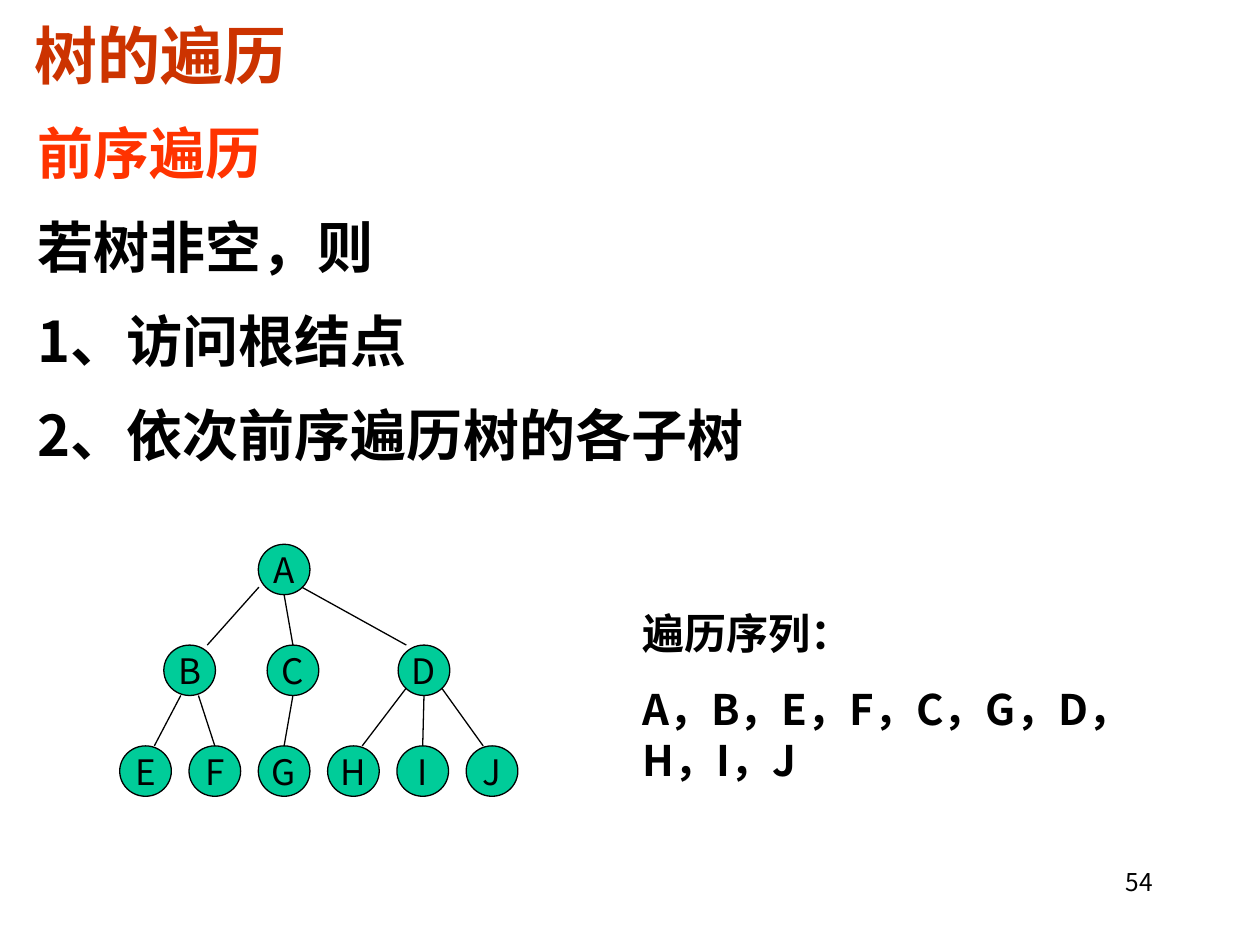
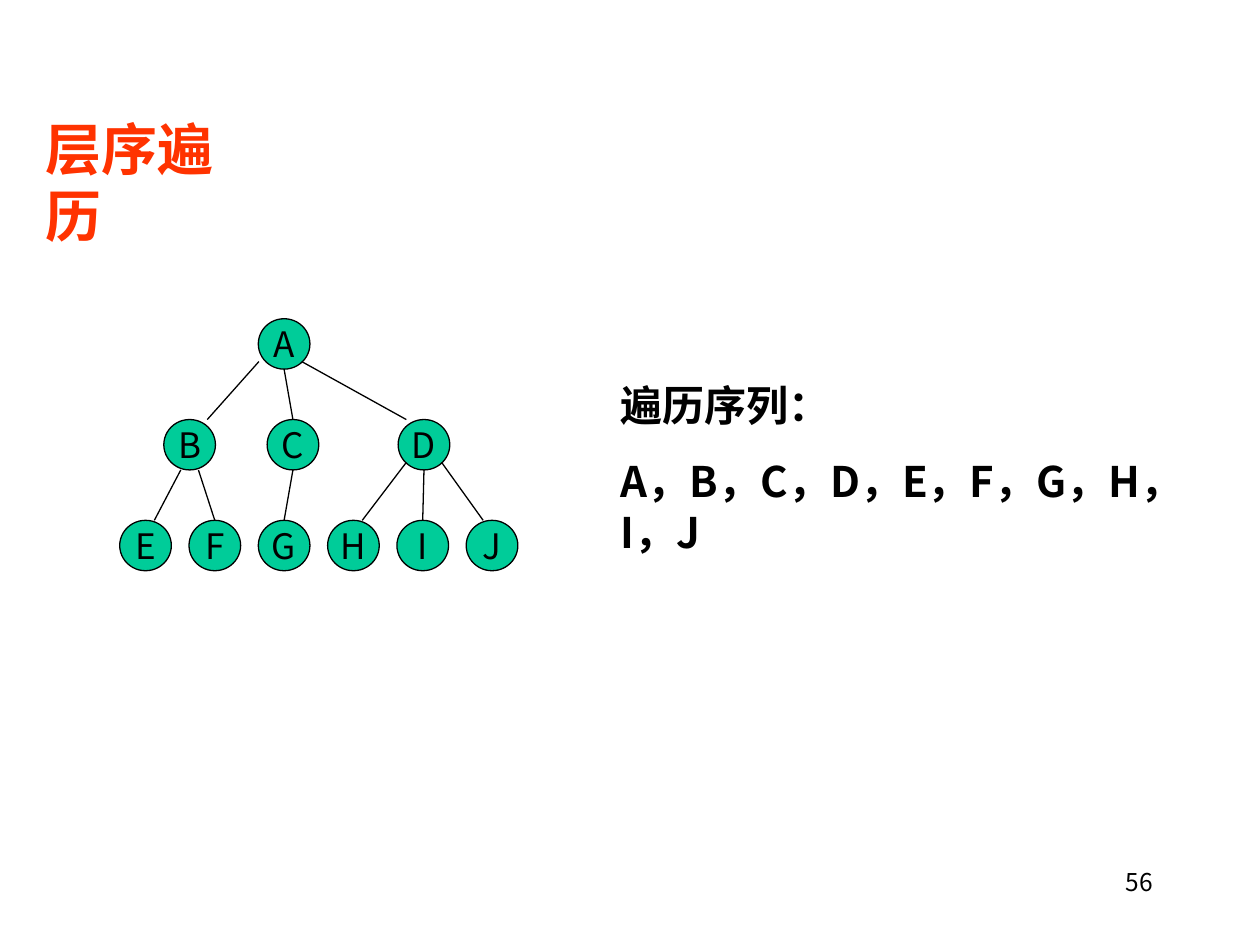
import lxml.etree
import pptx
import pptx.dml.color
import pptx.enum.shapes
import pptx.enum.text
import pptx.oxml.ns
import pptx.util

Inches = pptx.util.Inches
Pt = pptx.util.Pt
ALIGN = pptx.enum.text.PP_ALIGN
ANCHOR = pptx.enum.text.MSO_ANCHOR

TITLE_RED = "CC3300"
HEADING_RED = "FF3300"
BLACK = "000000"
NODE_GREEN = "00CC99"
CJK = "Noto Sans CJK JP"

NODE_WIDTH, NODE_HEIGHT = 0.41, 0.4
LEVEL_STEP = 0.8
LEAF_LEFT, LEAF_STEP = 0.95, 0.55
NODES = {"A": (2.05, 0), "B": (1.3, 1), "C": (2.12, 1), "D": (3.16, 1)}
NODES.update({leaf: (LEAF_LEFT + i * LEAF_STEP, 2) for i, leaf in enumerate("EFGHIJ")})

EDGES = [
    ("A", "B", -0.2, 0.34, 0.14),
    ("B", "E", -0.07, 0.4, 0.07),
    ("B", "F", 0.07, 0.4, 0),
    ("C", "G", 0, 0.4, 0),
    ("D", "H", -0.14, 0.34, 0.07),
    ("D", "I", 0, 0.4, 0),
    ("D", "J", 0.14, 0.34, -0.07),
    ("A", "C", 0, 0.4, 0),
    ("A", "D", 0.14, 0.34, -0.14),
]


def rgb(code):
    return pptx.dml.color.RGBColor.from_string(code)


def child(parent, tag):
    return lxml.etree.SubElement(parent, pptx.oxml.ns.qn(tag))


class Deck:
    def __init__(self):
        self.prs = pptx.Presentation()
        self.prs.slide_width = Inches(10)
        self.prs.slide_height = Inches(7.5)
        self.slide = None

    def new_slide(self, layout):
        self.slide = self.prs.slides.add_slide(self.prs.slide_layouts[layout])

    def place(self, shape, left, top, width, height):
        shape.left, shape.top = Inches(left), Inches(top)
        shape.width, shape.height = Inches(width), Inches(height)

    def set_lines(self, shape, lines, size, colors=(BLACK,), font=CJK, bold=False,
                  align=ALIGN.LEFT, anchor=ANCHOR.TOP, wrap=True, before=0, spacing=1.0):
        frame = shape.text_frame
        frame.auto_size = pptx.enum.text.MSO_AUTO_SIZE.NONE
        frame.word_wrap = wrap
        frame.vertical_anchor = anchor
        for i, line in enumerate(lines):
            paragraph = frame.add_paragraph() if i else frame.paragraphs[0]
            paragraph.alignment = align
            paragraph.space_before = Pt(before)
            paragraph.line_spacing = spacing
            run = paragraph.add_run()
            run.text = line
            run.font.size = Pt(size)
            run.font.bold = bold
            run.font.color.rgb = rgb(colors[min(i, len(colors) - 1)])
            run.font.name = font
            child(run._r.get_or_add_rPr(), "a:ea").set("typeface", CJK)

    def title(self, text, box, size, color, **style):
        heading = self.slide.shapes.title
        self.place(heading, *box)
        self.set_lines(heading, [text], size, [color], bold=True, **style)

    def steps(self, lines, box):
        body = self.slide.placeholders[1]
        self.place(body, *box)
        self.set_lines(body, lines, 32, [HEADING_RED, BLACK], bold=True, wrap=False, spacing=1.4)
        for paragraph in body.text_frame.paragraphs:
            properties = paragraph._p.get_or_add_pPr()
            properties.set("marL", "0")
            properties.set("indent", "0")
            child(properties, "a:buNone")

    def text(self, lines, box, size, **style):
        note = self.slide.shapes.add_textbox(*[Inches(length) for length in box])
        self.set_lines(note, lines, size, **style)

    def node(self, group, letter, left, top):
        circle = group.shapes.add_shape(
            pptx.enum.shapes.MSO_SHAPE.OVAL,
            Inches(left), Inches(top), Inches(NODE_WIDTH), Inches(NODE_HEIGHT))
        circle.shadow.inherit = False
        circle.fill.solid()
        circle.fill.fore_color.rgb = rgb(NODE_GREEN)
        circle.line.color.rgb = rgb(BLACK)
        circle.line.width = Pt(0.75)
        self.set_lines(circle, [letter], 20, align=ALIGN.CENTER, anchor=ANCHOR.MIDDLE, wrap=False)
        return circle

    def edge(self, group, start, end):
        branch = group.shapes.add_connector(
            pptx.enum.shapes.MSO_CONNECTOR.STRAIGHT,
            *[Inches(length) for length in start + end])
        branch.line.color.rgb = rgb(BLACK)
        branch.line.width = Pt(0.75)
        child(branch._element.spPr, "a:effectLst")
        return branch

    def tree(self, top):
        group = self.slide.shapes.add_group_shape()
        spots = {letter: (left, top + level * LEVEL_STEP)
                 for letter, (left, level) in NODES.items()}
        circles = {letter: self.node(group, letter, *spot) for letter, spot in spots.items()}
        middle = NODE_WIDTH / 2
        for parent, kid, start_shift, drop, end_shift in EDGES:
            parent_left, parent_top = spots[parent]
            kid_left, kid_top = spots[kid]
            branch = self.edge(group,
                               (parent_left + middle + start_shift, parent_top + drop),
                               (kid_left + middle + end_shift, kid_top))
            if end_shift == 0:
                branch.end_connect(circles[kid], 0)

    def sequence(self, letters, box):
        self.text(["遍历序列：", "，".join(letters)], box, 24, bold=True, before=15)

    def page_number(self, number):
        self.text([str(number)], (7.17, 6.83, 2.08, 0.5), 14, align=ALIGN.RIGHT, before=8.8)


def main():
    deck = Deck()

    deck.new_slide(1)
    deck.title("树的遍历", (0.17, 0.08, 2.46, 0.7), 36, TITLE_RED, font="Arial")
    deck.steps(["前序遍历", "若树非空，则", "1、访问根结点", "2、依次前序遍历树的各子树"],
               (0.2, 0.68, 5.91, 3.84))
    deck.tree(4.32)
    deck.sequence("ABEFCGDHIJ", (5, 4.77, 4.41, 1.51))
    deck.page_number(54)

    deck.new_slide(5)
    deck.title("层序遍历", (0.26, 0.86, 1.98, 0.64), 32, HEADING_RED, wrap=False)
    deck.tree(2.53)
    deck.sequence("ABCDEFGHIJ", (4.83, 2.96, 4.67, 1.51))
    deck.page_number(56)

    deck.prs.save("out.pptx")


if __name__ == "__main__":
    main()
